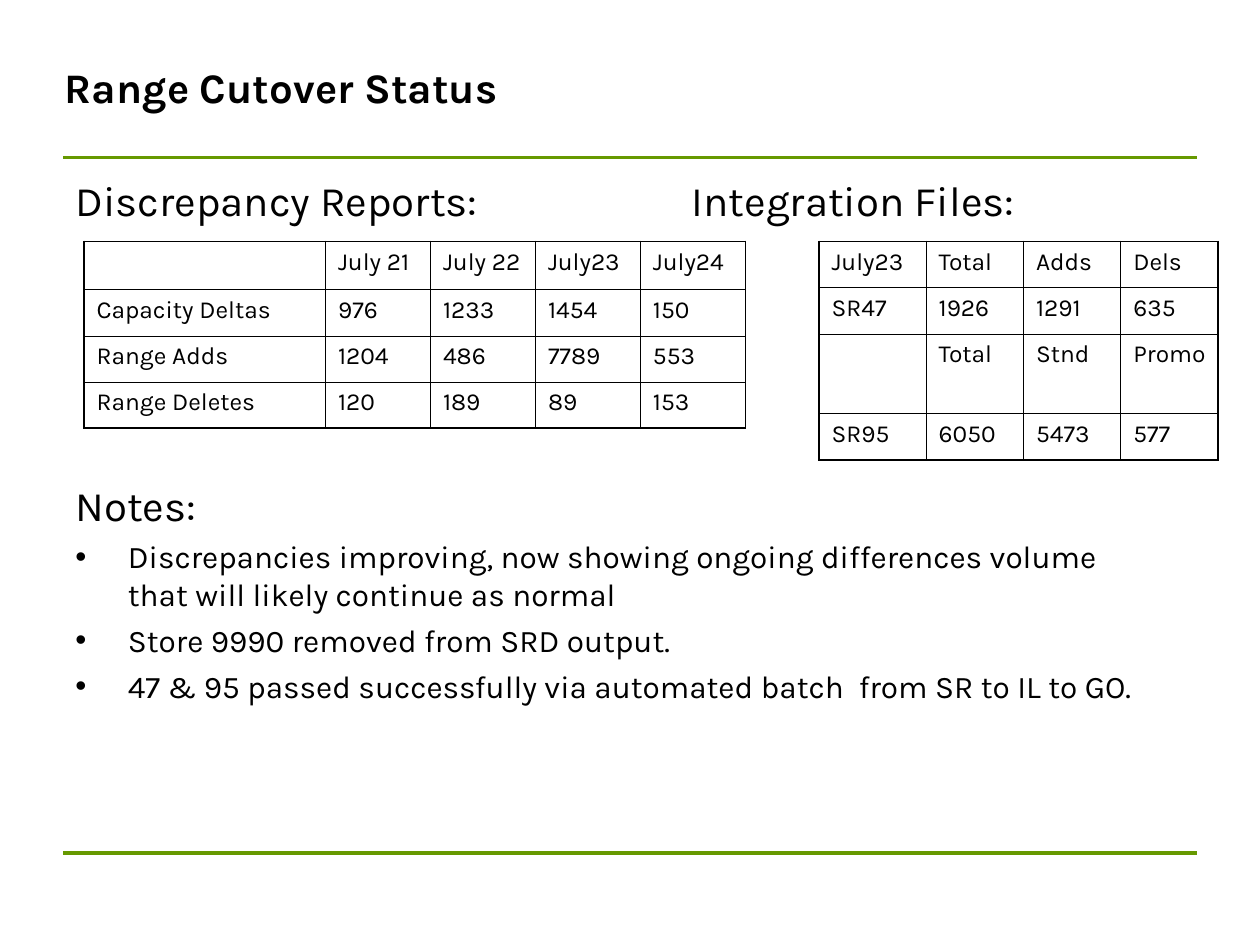
"""Build the range cutover status slide on a grid of twelve cells to the inch."""
from dataclasses import dataclass

from lxml.etree import SubElement
from pptx import Presentation
from pptx.dml.color import RGBColor
from pptx.enum.shapes import MSO_CONNECTOR as Link
from pptx.enum.text import MSO_ANCHOR as Anchor
from pptx.oxml.ns import qn
from pptx.util import Emu, Inches, Pt

BLACK = RGBColor(0x00, 0x00, 0x00)
GREEN = RGBColor(0x66, 0x99, 0x00)
FACE = "Karla"
THICK, THIN = 1.08, 0.45


@dataclass(frozen=True)
class Box:
    left: float
    top: float
    width: float
    height: float


@dataclass(frozen=True)
class Line:
    text: str
    size: int
    gap: float = 0
    bold: bool = False
    bullet: bool = False
    tab: float = 0


@dataclass(frozen=True)
class Grid:
    left: float
    top: float
    cols: tuple[float, ...]
    rows: tuple[float, ...]
    cells: tuple[tuple[str, ...], ...]


TITLE = Line("Range Cutover Status", 24, bold=True)
BODY = (
    Line("Discrepancy Reports:\tIntegration Files:", 24, tab=58.7),
    Line("Notes:", 24, 145.5),
    Line("Discrepancies improving, now showing ongoing differences volume "
         "that will likely continue as normal", 18, 4.5, bullet=True),
    Line("Store 9990 removed from SRD output.", 18, 4.5, bullet=True),
    Line("47 & 95 passed successfully via automated batch  from SR to IL to GO.",
         18, 4.5, bullet=True),
)
GRIDS = (
    Grid(8, 23, (23, 10, 10, 10, 10), (4.6, 4.4, 4.4, 4.4), (
        ("", "July 21", "July 22", "July23", "July24"),
        ("Capacity Deltas", "976", "1233", "1454", "150"),
        ("Range Adds", "1204", "486", "7789", "553"),
        ("Range Deletes", "120", "189", "89", "153"),
    )),
    Grid(78, 23, (10.2, 9.27, 9.27, 9.27), (4.4, 4.4, 7.6, 4.4), (
        ("July23", "Total", "Adds", "Dels"),
        ("SR47", "1926", "1291", "635"),
        ("", "Total", "Stnd", "Promo"),
        ("SR95", "6050", "5473", "577"),
    )),
)


def unit(count: float) -> Emu:
    """Turn grid cells into a length."""
    return Inches(count / 12)


def style(para, size: float, bold: bool = False) -> None:
    """Set the font of a paragraph."""
    font = para.font
    font.name, font.size, font.bold = FACE, Pt(size), bold
    font.color.rgb = BLACK


def write(para, line: Line) -> None:
    """Fill one paragraph."""
    para.text = line.text
    para.space_before = Pt(line.gap)
    props = para._p.get_or_add_pPr()
    if line.bullet:
        props.set("marL", str(unit(5)))
        props.set("indent", str(-unit(5)))
        SubElement(props, qn("a:buFont"), typeface="Arial")
        SubElement(props, qn("a:buChar"), char="•")
    if line.tab:
        stops = SubElement(props, qn("a:tabLst"))
        SubElement(stops, qn("a:tab"), pos=str(unit(line.tab)), algn="l")
    style(para, line.size, line.bold)


def add_text(slide, box: Box, lines: tuple[Line, ...], anchor: Anchor) -> None:
    """Add a text box with its paragraphs."""
    shape = slide.shapes.add_textbox(
        unit(box.left), unit(box.top), unit(box.width), unit(box.height))
    frame = shape.text_frame
    frame.word_wrap, frame.vertical_anchor = True, anchor
    for pos, line in enumerate(lines):
        write(frame.add_paragraph() if pos else frame.paragraphs[0], line)


def add_rule(slide, row: float) -> None:
    """Add a green rule across the slide."""
    rule = slide.shapes.add_connector(
        Link.STRAIGHT, unit(6), unit(row), unit(114), unit(row))
    rule.line.color.rgb, rule.line.width = GREEN, Pt(2.25)
    SubElement(rule._element.spPr, qn("a:effectLst"))


def add_edge(cell, side: str, width: float) -> None:
    """Draw one border of a cell."""
    edge = SubElement(cell._tc.get_or_add_tcPr(), qn(f"a:ln{side}"), w=str(Pt(width)))
    fill = SubElement(edge, qn("a:solidFill"))
    SubElement(fill, qn("a:srgbClr"), val=str(BLACK))


def add_grid(slide, grid: Grid) -> None:
    """Add a table with thick outer and thin inner borders."""
    high, wide = len(grid.rows), len(grid.cols)
    table = slide.shapes.add_table(
        high, wide, unit(grid.left), unit(grid.top),
        unit(sum(grid.cols)), unit(sum(grid.rows))).table
    table.first_row = table.horz_banding = False
    for col, width in zip(table.columns, grid.cols):
        col.width = unit(width)
    for row, height in zip(table.rows, grid.rows):
        row.height = unit(height)
    for y, texts in enumerate(grid.cells):
        for x, text in enumerate(texts):
            cell = table.cell(y, x)
            outer = {"L": x == 0, "R": x == wide - 1, "T": y == 0, "B": y == high - 1}
            for side, edge in outer.items():
                add_edge(cell, side, THICK if edge else THIN)
            cell.fill.background()
            cell.margin_right = unit(0.6)
            para = cell.text_frame.paragraphs[0]
            para.text = text
            style(para, 14)
            if not text:
                SubElement(para._p, qn("a:endParaRPr"), sz="1400")


def main() -> None:
    """Build and save the slide."""
    deck = Presentation()
    deck.slide_width, deck.slide_height = unit(120), unit(90)
    slide = deck.slides.add_slide(deck.slide_layouts[6])
    for row in (15, 81.25):
        add_rule(slide, row)
    add_text(slide, Box(5, 3.6, 92, 9.4), (TITLE,), Anchor.MIDDLE)
    add_text(slide, Box(6, 16, 104, 63.4), BODY, Anchor.TOP)
    for grid in GRIDS:
        add_grid(slide, grid)
    deck.save("out.pptx")


if __name__ == "__main__":
    main()
